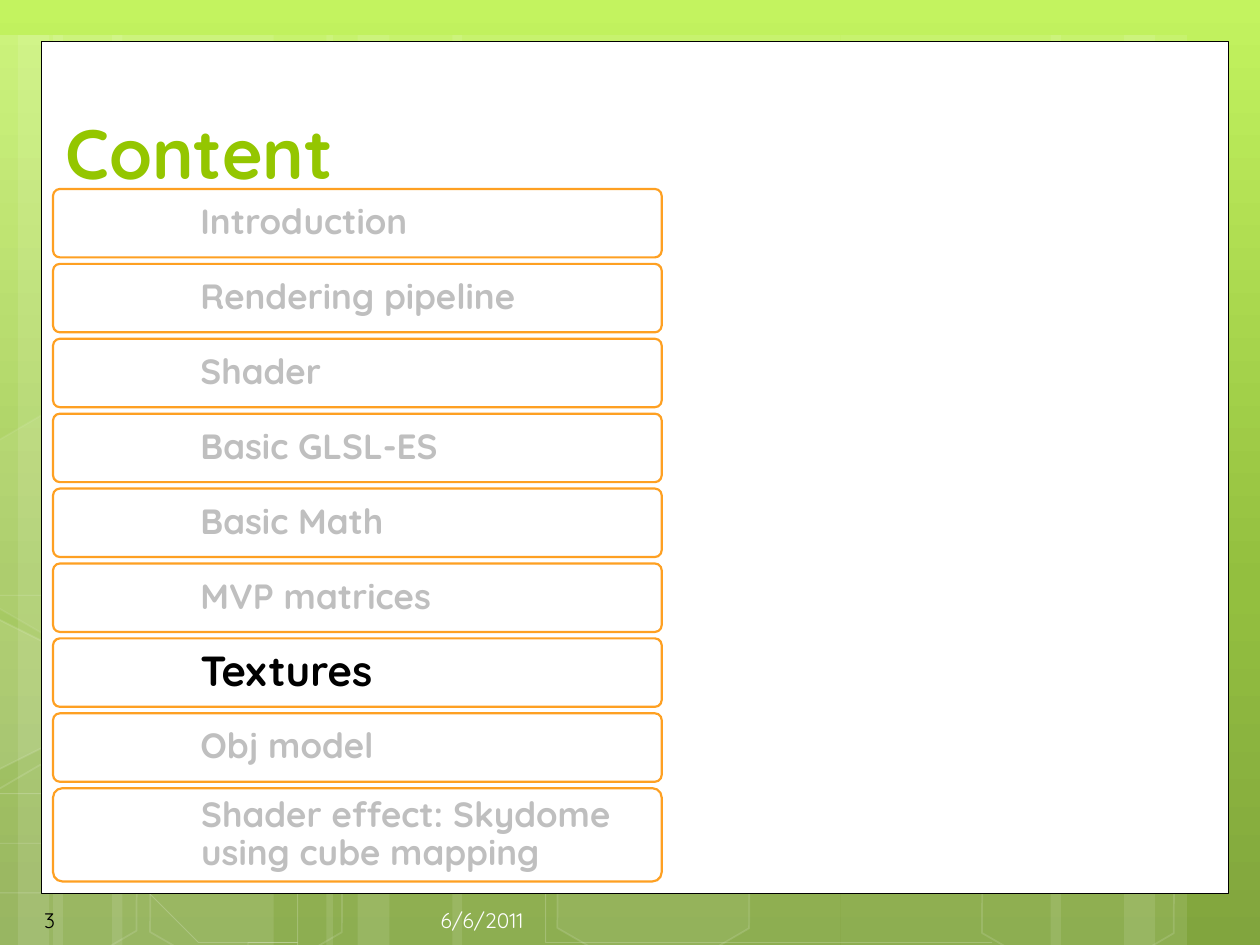
from typing import NamedTuple, Optional

from lxml.etree import SubElement
from pptx import Presentation
from pptx.dml.color import RGBColor
from pptx.enum.shapes import MSO_SHAPE
from pptx.enum.text import MSO_ANCHOR, PP_ALIGN
from pptx.oxml.ns import qn
from pptx.util import Cm, Pt

FONT = "Quicksand"
COLORS = {
    "white": "FFFFFF", "black": "000000", "title": "94C600", "date": "FEFEFE",
    "border": "FEA022", "muted": "BFBFBF",
    "bg_top": "C3F35F", "bg_mid": "93BF3F", "bg_low": "81A53E",
}


class Box(NamedTuple):
    left: float
    top: float
    width: float
    height: float


class Text(NamedTuple):
    text: str
    size: int
    color: str
    bold: bool = False
    align: PP_ALIGN = PP_ALIGN.LEFT


class Hexagon(NamedTuple):
    left: float
    top: float
    fill_alpha: Optional[int] = None
    line_alpha: int = 12


class Curve(NamedTuple):
    start: tuple
    segments: list  # two control points and an end point each


# Stripes as (left, width), all of the same height
STRIPES = [(1.07, 4.45), (-0.84, 2.11), (2.26, 4.45), (-0.28, 1.27), (0.36, 2.11),
           (16.94, 4.45), (22.66, 1.27), (21.18, 2.11), (9.12, 7.82), (6.58, 1.27),
           (7.21, 2.11)]
CURVES = [
    Curve((-1.5, 17.81), [(-0.13, 17.88, 1.24, 17.98, 3.15, 17.93),
                          (5.05, 17.91, 7.42, 17.86, 9.96, 17.6),
                          (12.5, 17.35, 16.1, 16.87, 18.44, 16.38),
                          (20.75, 15.9, 23.14, 15.14, 23.9, 14.71)]),
    Curve((-1.5, 12.83), [(-0.76, 12.45, -0.03, 12.04, 1.4, 11.68),
                          (2.84, 11.3, 4.9, 10.74, 7.14, 10.54),
                          (9.4, 10.36, 12.14, 10.36, 14.94, 10.54),
                          (17.73, 10.74, 22.38, 11.51, 23.9, 11.73)]),
    Curve((-1.52, 16.38), [(1.55, 17.78, 4.6, 19.18, 6.81, 19.76)]),
    Curve((-1.5, 15.39), [(-0.71, 15.67, 0.1, 15.95, 1.57, 16.36),
                          (3.05, 16.76, 5.26, 17.37, 7.37, 17.81),
                          (9.5, 18.24, 12.17, 18.69, 14.27, 18.97),
                          (16.38, 19.23, 18.64, 19.33, 19.99, 19.43)]),
    Curve((4.47, 19.76), [(4.93, 19.25, 5.38, 18.75, 5.99, 18.26),
                          (6.6, 17.81, 7.47, 17.3, 8.18, 16.94),
                          (8.89, 16.61, 9.32, 16.46, 10.24, 16.18),
                          (11.18, 15.93, 12.88, 15.57, 13.77, 15.39),
                          (14.68, 15.24, 14.81, 15.24, 15.6, 15.16),
                          (16.38, 15.11, 17.63, 15.04, 18.49, 15.01)]),
]
HEXAGONS = [Hexagon(10.95, 15.67, 6), Hexagon(-1.4, 15.72), Hexagon(2.74, 15.75),
            Hexagon(19.51, 15.77), Hexagon(-1.32, 8.64, 7, 8)]
CUT_HEXAGON = [(-1.47, 12.01), (-1.19, 11.86), (0.76, 12.98), (0.74, 15.19),
               (-1.17, 16.31), (-1.47, 16.15)]

TOPICS = ["Introduction", "Rendering pipeline", "Shader", "Basic GLSL-ES", "Basic Math",
          "MVP matrices", "Textures", "Obj model",
          "Shader effect: Skydome using cube mapping"]
CURRENT = "Textures"
CARD_LEFT, CARD_TOP, CARD_WIDTH, CARD_PITCH = 1.07, 3.81, 12.27, 1.51


def rgb(name: str) -> RGBColor:
    return RGBColor.from_string(COLORS[name])


def paint(fill, color: str, alpha: int = 100) -> None:
    """Solid fill with an opacity in percent."""
    fill.solid()
    fill.fore_color.rgb = rgb(color)
    if alpha < 100:
        clr = fill._xPr.find(qn("a:solidFill")).find(qn("a:srgbClr"))
        SubElement(clr, qn("a:alpha"), val=str(alpha * 1000))


def style(sp, fill: Optional[str] = None, fill_alpha: int = 100,
          line: Optional[str] = None, width: float = 1, line_alpha: int = 100) -> None:
    sp.shadow.inherit = False
    if fill:
        paint(sp.fill, fill, fill_alpha)
    else:
        sp.fill.background()
    if line:
        sp.line.width = Pt(width)
        paint(sp.line.fill, line, line_alpha)
    else:
        sp.line.fill.background()


def add_box(s, kind: MSO_SHAPE, box: Box):
    return s.shapes.add_shape(kind, *map(Cm, box))


def add_outline(s, points: list, close: bool):
    builder = s.shapes.build_freeform(*points[0], scale=Cm(1))
    builder.add_line_segments(points[1:], close=close)
    return builder.convert_to_shape()


def curve_points(curve: Curve, steps: int = 12) -> list:
    points = [curve.start]
    for x1, y1, x2, y2, x3, y3 in curve.segments:
        x0, y0 = points[-1]
        for i in range(1, steps + 1):
            t = i / steps
            u = 1 - t
            a, b, c, d = u ** 3, 3 * u * u * t, 3 * u * t * t, t ** 3
            points.append((a * x0 + b * x1 + c * x2 + d * x3,
                           a * y0 + b * y1 + c * y2 + d * y3))
    return points


def write(sp, text: Text, anchor: MSO_ANCHOR = MSO_ANCHOR.MIDDLE):
    tf = sp.text_frame
    tf.word_wrap = True
    tf.vertical_anchor = anchor
    p = tf.paragraphs[0]
    p.alignment = text.align
    r = p.add_run()
    r.text = text.text
    r.font.name = FONT
    r.font.size = Pt(text.size)
    r.font.bold = text.bold
    r.font.color.rgb = rgb(text.color)
    return tf


def add_label(s, box: Box, text: Text, anchor: MSO_ANCHOR = MSO_ANCHOR.MIDDLE) -> None:
    write(s.shapes.add_textbox(*map(Cm, box)), text, anchor)


def add_card(s, box: Box, text: Text) -> None:
    sp = add_box(s, MSO_SHAPE.ROUNDED_RECTANGLE, box)
    sp.adjustments[0] = 0.1
    style(sp, "white", line="border", width=1.25)
    tf = write(sp, text)
    tf.margin_left = Cm(2.93)
    tf.margin_top = tf.margin_right = tf.margin_bottom = Cm(0.13)
    tf.paragraphs[0].line_spacing = 0.9


def set_background(s) -> None:
    fill = s.background.fill
    fill.gradient()
    fill.gradient_angle = 270
    stops = fill._fill._gradFill.find(qn("a:gsLst"))
    stops.clear()
    for pos, color in ((0, "bg_top"), (62, "bg_mid"), (100, "bg_low")):
        gs = SubElement(stops, qn("a:gs"), pos=str(pos * 1000))
        SubElement(gs, qn("a:srgbClr"), val=COLORS[color])


def main() -> None:
    prs = Presentation()
    prs.slide_width, prs.slide_height = Cm(25.4), Cm(19.05)
    s = prs.slides.add_slide(prs.slide_layouts[6])

    # Backdrop: gradient, stripes, curves and hexagons
    set_background(s)
    for left, width in STRIPES:
        style(add_box(s, MSO_SHAPE.RECTANGLE, Box(left, 0.71, width, 19.05)), "white", 10)
    for curve in CURVES:
        style(add_outline(s, curve_points(curve), close=False),
              line="white", width=0.5, line_alpha=20)
    for h in HEXAGONS:
        sp = add_box(s, MSO_SHAPE.HEXAGON, Box(h.left, h.top, 4.45, 3.86))
        sp.adjustments[0] = 0.285
        sp.rotation = 30
        style(sp, "white" if h.fill_alpha else None, h.fill_alpha or 100,
              "white", 1, h.line_alpha)
    style(add_outline(s, CUT_HEXAGON, close=True), "white", 10, "white", 1, 12)

    # Panel, title and footer
    style(add_box(s, MSO_SHAPE.RECTANGLE, Box(0.84, 0.84, 23.93, 17.17)),
          "white", line="black", width=0.5)
    add_label(s, Box(1.07, 0.84, 23.5, 3.18), Text("Content", 40, "title", True),
              MSO_ANCHOR.BOTTOM)
    add_label(s, Box(0.64, 18.03, 3.71, 1.02), Text("3", 12, "black"))
    add_label(s, Box(4.88, 18.03, 5.92, 1.02),
              Text("6/6/2011", 12, "date", align=PP_ALIGN.RIGHT))

    # Topic cards, the last one taller for its two lines
    for i, topic in enumerate(TOPICS):
        height = 1.88 if topic == TOPICS[-1] else 1.38
        size, color = (24, "black") if topic == CURRENT else (20, "muted")
        add_card(s, Box(CARD_LEFT, CARD_TOP + i * CARD_PITCH, CARD_WIDTH, height),
                 Text(topic, size, color, True))

    prs.save("out.pptx")


if __name__ == "__main__":
    main()
